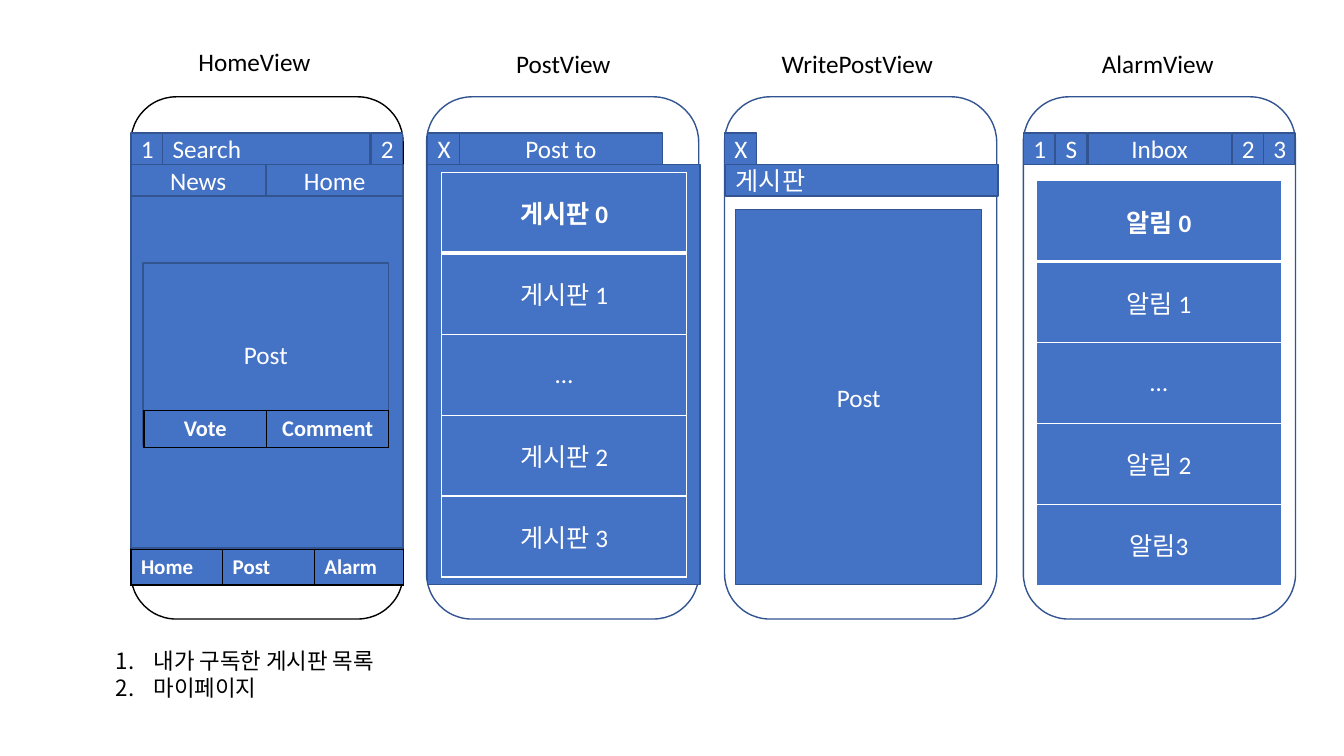
from lxml import etree
from pptx import Presentation
from pptx import util as u
from pptx.dml.color import RGBColor
from pptx.enum import shapes, text
from pptx.oxml.ns import qn

BLUE = RGBColor(0x44, 0x72, 0xC4)
NAVY = RGBColor(0x32, 0x54, 0x91)
WHITE = RGBColor(0xFF, 0xFF, 0xFF)
BLACK = RGBColor(0x00, 0x00, 0x00)
Cm = u.Cm
LEFT, CENTER = text.PP_ALIGN.LEFT, text.PP_ALIGN.CENTER
TOP, MIDDLE = text.MSO_ANCHOR.TOP, text.MSO_ANCHOR.MIDDLE

PHONE_TOP, PHONE_W, PHONE_H = 2.44, 6.86, 13.16
BAR_Y, ROW_Y, BAR_H = 0.91, 1.7, 0.8
CARD_W, LIST_W, LIST_ROW = 6.2, 6.17, 2.04


def set_text(paragraph, words, color=WHITE, align=LEFT, size=18, bold=False):
    """Write one formatted run into a paragraph."""
    paragraph.alignment = align
    run = paragraph.add_run()
    run.text = words
    formats = {"name": "Calibri", "size": u.Pt(size), "bold": bold}
    for key, value in formats.items():
        setattr(run.font, key, value)
    run.font.color.rgb = color


def add_block(slide, x, y, w, h, words="", align=CENTER):
    """Add a blue rectangle with optional words."""
    block = slide.shapes.add_shape(shapes.MSO_SHAPE.RECTANGLE, Cm(x), Cm(y), Cm(w), Cm(h))
    block.shadow.inherit = False
    block.fill.solid()
    block.fill.fore_color.rgb = BLUE
    block.line.color.rgb = NAVY
    block.line.width = u.Pt(1)
    block.text_frame.vertical_anchor = MIDDLE
    if words:
        set_text(block.text_frame.paragraphs[0], words, align=align)


def add_bar(slide, x, y, parts):
    """Add a row of blocks given as (offset, width, words)."""
    for offset, width, words in parts:
        align = LEFT if words == "Search" else CENTER
        add_block(slide, x + offset, y, width, BAR_H, words, align)


def set_borders(cell, color, bottom, top):
    """Draw the four cell edges, 1 pt wide unless told otherwise."""
    properties = cell._tc.get_or_add_tcPr()
    widths = {"a:lnL": 1, "a:lnR": 1, "a:lnT": top, "a:lnB": bottom}
    for position, (tag, points) in enumerate(widths.items()):
        edge = etree.Element(qn(tag), w=str(u.Pt(points)))
        fill = etree.SubElement(edge, qn("a:solidFill"))
        etree.SubElement(fill, qn("a:srgbClr"), val=str(color))
        properties.insert(position, edge)


def add_grid(slide, x, y, widths, row_h, rows, color, size,
             align=CENTER, anchor=TOP, header_edge=1):
    """Add a blue table whose first row is bold."""
    frame = slide.shapes.add_table(len(rows), len(widths), Cm(x), Cm(y),
                                   Cm(sum(widths)), Cm(row_h * len(rows)))
    grid = frame.table
    for key in ("first_row", "horz_banding"):
        setattr(grid, key, False)
    for column, width in zip(grid.columns, widths):
        column.width = Cm(width)
    for r, labels in enumerate(rows):
        grid.rows[r].height = Cm(row_h)
        for c, label in enumerate(labels):
            cell = grid.cell(r, c)
            cell.fill.solid()
            cell.fill.fore_color.rgb = BLUE
            cell.vertical_anchor = anchor
            set_text(cell.text_frame.paragraphs[0], label, align=align, size=size, bold=r == 0)
            set_borders(cell, color, bottom=header_edge if r == 0 else 1,
                        top=header_edge if r == 1 else 1)


def add_list(slide, x, y, labels):
    """Add a one-column list with a thick rule under its head."""
    add_grid(slide, x, y, [LIST_W], LIST_ROW, [[label] for label in labels],
             WHITE, 18, anchor=MIDDLE, header_edge=3)


def add_text_box(slide, x, y, w, h):
    """Add an unwrapped text box and return its frame."""
    frame = slide.shapes.add_textbox(Cm(x), Cm(y), Cm(w), Cm(h)).text_frame
    frame.word_wrap = False
    frame.auto_size = text.MSO_AUTO_SIZE.SHAPE_TO_FIT_TEXT
    return frame


def phone(slide, x, y, outline, title, title_x, title_y, title_w):
    """Draw a phone outline with its view name above."""
    body = slide.shapes.add_shape(shapes.MSO_SHAPE.ROUNDED_RECTANGLE,
                                  Cm(x), Cm(y), Cm(PHONE_W), Cm(PHONE_H))
    body.shadow.inherit = False
    body.fill.background()
    body.line.color.rgb = outline
    body.line.width = u.Pt(1)
    caption = add_text_box(slide, x + title_x, y + title_y, title_w, 1.02)
    set_text(caption.paragraphs[0], title, BLACK)


def home_view(slide, x, y):
    """Search bar, tabs, post card and bottom menu."""
    phone(slide, x, y, BLACK, "HomeView", 1.45, -1.39, 3.38)
    add_bar(slide, x, y + BAR_Y, [(0, 0.8, "1"), (6.05, 0.8, "2"), (0.8, 5.23, "Search")])
    add_bar(slide, x, y + ROW_Y, [(0, 3.39, "News"), (3.41, 3.45, "Home")])
    add_block(slide, x, y + 2.51, PHONE_W, 8.86)
    add_block(slide, x + 0.3, y + 4.19, CARD_W, 4.6, "Post")
    add_grid(slide, x + 0.33, y + 7.9, [LIST_W / 2] * 2, 0.94,
             [["Vote", "Comment"]], BLACK, 16)
    add_grid(slide, x, y + 11.4, [2.31, 2.31, 2.25], 0.9,
             [["Home", "Post", "Alarm"]], BLACK, 15, LEFT)


def post_view(slide, x, y):
    """Choice of the board to post to."""
    phone(slide, x, y, NAVY, "PostView", 2.01, -1.34, 2.92)
    add_bar(slide, x, y + BAR_Y, [(0.82, 5.13, "Post to"), (0.03, 0.8, "X")])
    add_block(slide, x + 0.03, y + ROW_Y, PHONE_W, 10.59)
    add_list(slide, x + 0.38, y + 1.9, ["게시판 0", "게시판 1", "…", "게시판 2", "게시판 3"])


def write_post_view(slide, x, y):
    """Board name and the area for writing."""
    phone(slide, x, y, NAVY, "WritePostView", 1.19, -1.34, 4.37)
    add_bar(slide, x, y + BAR_Y, [(0, 0.8, "X")])
    add_block(slide, x + 0.03, y + ROW_Y, PHONE_W, BAR_H, "게시판", LEFT)
    add_block(slide, x + 0.28, y + 2.84, CARD_W, 9.45, "Post")


def alarm_view(slide, x, y):
    """Inbox bar and list of alarms."""
    phone(slide, x, y, NAVY, "AlarmView", 1.73, -1.34, 3.35)
    add_bar(slide, x, y + BAR_Y, [(0, 0.8, "1"), (0.81, 0.8, "S"), (1.63, 3.61, "Inbox"),
                                  (5.26, 0.8, "2"), (6.05, 0.8, "3")])
    add_list(slide, x + 0.33, y + 2.11, ["알림 0", "알림 1", "…", "알림 2", "알림3"])


def button_key(slide, x, y):
    """Numbered explanation of the home buttons."""
    frame = add_text_box(slide, x, y, 7.57, 1.63)
    for i, label in enumerate(["내가 구독한 게시판 목록", "마이페이지"]):
        paragraph = frame.add_paragraph() if i else frame.paragraphs[0]
        set_text(paragraph, label, BLACK, size=16)
        properties = paragraph._p.get_or_add_pPr()
        for key, value in {"marL": Cm(0.95), "indent": -Cm(0.95)}.items():
            properties.set(key, str(value))
        etree.SubElement(properties, qn("a:buFont"), typeface="+mj-lt")
        etree.SubElement(properties, qn("a:buAutoNum"), type="arabicPeriod")


deck = Presentation()
deck.slide_width, deck.slide_height = Cm(33.87), Cm(19.05)
wireframes = deck.slides.add_slide(deck.slide_layouts[6])
views = {home_view: 3.3, post_view: 10.75, write_post_view: 18.26, alarm_view: 25.79}
for draw_view, view_x in views.items():
    draw_view(wireframes, view_x, PHONE_TOP)
button_key(wireframes, 2.67, 16.18)
deck.save("out.pptx")
